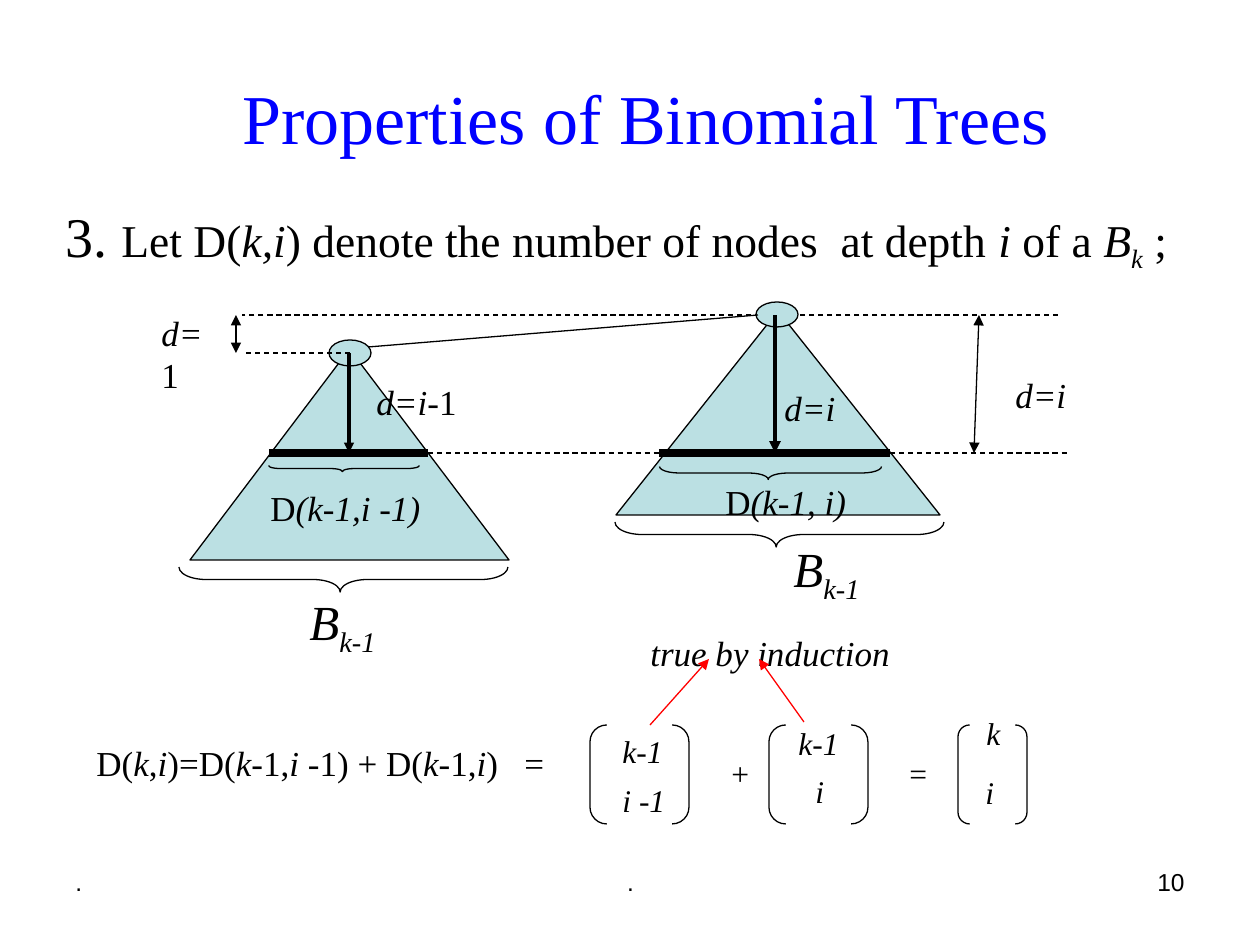
"""Build a slide on the node count by depth in binomial trees."""
from lxml.etree import SubElement
from pptx import Presentation
from pptx.dml.color import RGBColor
from pptx.enum.dml import MSO_LINE
from pptx.enum.shapes import MSO_CONNECTOR, MSO_SHAPE
from pptx.enum.text import MSO_ANCHOR, PP_ALIGN
from pptx.oxml.ns import qn
from pptx.util import Pt

PX = 914400 / 126
SERIF = "Times New Roman"
BLACK, BLUE, RED, TEAL = "000000", "0000FF", "FF0000", "BBE0E3"
LEFT, MID, RIGHT = PP_ALIGN.LEFT, PP_ALIGN.CENTER, PP_ALIGN.RIGHT
tint = RGBColor.from_string

deck = Presentation()
deck.slide_width, deck.slide_height = round(1260 * PX), round(945 * PX)
slide = deck.slides.add_slide(deck.slide_layouts[6])


def write(text, box, size, slant=False, wrap=False, align=LEFT, face=SERIF, color=BLACK):
    """Add a text box; * flips the slant and _ flips the subscript."""
    shape = slide.shapes.add_textbox(*[round(n * PX) for n in box])
    shape.text_frame.word_wrap = wrap
    para = shape.text_frame.paragraphs[0]
    para.alignment = align
    font = para.font
    font.name, font.size, font.italic = face, Pt(size), slant
    font.color.rgb = tint(color)
    for i, part in enumerate(text.split("*")):
        for j, piece in enumerate(part.split("_")):
            if not piece:
                continue
            run = para.add_run()
            run.text = piece
            if i % 2:
                run.font.italic = not slant
            if j % 2:
                run._r.get_or_add_rPr().set("baseline", "-25000")
    return shape


def draw(ends, width=0.75, color=BLACK, dash=False, tips=()):
    """Add a straight line, with arrowheads at the named tips."""
    line = slide.shapes.add_connector(MSO_CONNECTOR.STRAIGHT, *[round(n * PX) for n in ends])
    line.line.width = Pt(width)
    line.line.color.rgb = tint(color)
    if dash:
        line.line.dash_style = MSO_LINE.DASH
    for tip in tips:
        SubElement(line.line._get_or_add_ln(), qn(f"a:{tip}")).set("type", "triangle")
    SubElement(line._element.spPr, qn("a:effectLst"))


for text, x, width, align in [(".", 63, 294, LEFT), (".", 431, 399, MID), ("10", 903, 294, RIGHT)]:
    write(text, (x, 861, width, 66), 14, wrap=True, align=align, face="Arial")

title = write("Properties of Binomial Trees", (63, 38, 1165, 158), 40,
              wrap=True, align=MID, color=BLUE)
title.text_frame.vertical_anchor = MSO_ANCHOR.MIDDLE

claim = write("3. *Let D(*k,i*) denote the number of nodes  at depth *i *of a *B_k_* ;".replace("3. *", "3. **"),
              (53, 195, 1150, 84), 26, wrap=True)
first = claim.text_frame.paragraphs[0].runs[0]
first.font.size = Pt(32)

draw((1058, 315, 242, 315), dash=True)

trees = [
    ((190, 349, 319, 211), (329, 340, 42, 26)),
    ((616, 311, 324, 204), (756, 302, 42, 25)),
]
for body, root in trees:
    group = slide.shapes.add_group_shape()
    for kind, box in [(MSO_SHAPE.ISOSCELES_TRIANGLE, body), (MSO_SHAPE.OVAL, root)]:
        shape = group.shapes.add_shape(kind, *[round(n * PX) for n in box])
        shape.shadow.inherit = False
        shape.fill.solid()
        shape.fill.fore_color.rgb = tint(TEAL)
        shape.line.color.rgb = tint(BLACK)
        shape.line.width = Pt(0.75)

BRACE, PAIR = MSO_SHAPE.LEFT_BRACE, MSO_SHAPE.DOUBLE_BRACKET
marks = [
    (BRACE, (331, 415, 25, 329), (1.08, 0.49)),
    (BRACE, (767, 370, 25, 329), (1.08, 0.49)),
    (BRACE, (341, 393, 6, 151), (2, 0.49)),
    (BRACE, (764, 362, 13, 222), (1.5, 0.49)),
    (PAIR, (590, 725, 99, 99), (0.17,)),
    (PAIR, (769, 725, 99, 99), (0.17,)),
    (PAIR, (958, 725, 69, 99), (0.17,)),
]
for kind, box, bends in marks:
    shape = slide.shapes.add_shape(kind, *[round(n * PX) for n in box])
    shape.shadow.inherit = False
    shape.fill.background()
    shape.line.color.rgb = tint(BLACK)
    shape.line.width = Pt(0.75)
    shape.rotation = 270 if kind == BRACE else 0
    for i, bend in enumerate(bends):
        shape.adjustments[i] = bend

draw((368, 347, 758, 315))
for ends in [(350, 353, 243, 353), (428, 453, 659, 453), (890, 453, 1067, 453)]:
    draw(ends, dash=True)
for ends in [(269, 453, 428, 453), (659, 453, 890, 453)]:
    draw(ends, 4.5)
for ends in [(979, 315, 974, 453), (236, 315, 236, 353)]:
    draw(ends, tips=("headEnd", "tailEnd"))
draw((349, 353, 349, 453), 2.25)
draw((349, 359, 349, 453), tips=("tailEnd",))
draw((775, 315, 775, 453), 2.25, tips=("tailEnd",))

for x, y in [(297, 585), (781, 532)]:
    write("B_k-1_", (x, y, 107, 79), 28, slant=True, wrap=True)

labels = [
    ("d=*1*", 149, 305, 83), ("d=i", 1003, 367, 76),
    ("d=i-*1*", 364, 374, 105), ("d=i", 772, 380, 76),
    ("*D*(k-1,i -1)", 258, 480, 175), ("*D*(k-1, i)", 713, 474, 146),
    ("true by induction", 638, 625, 265),
    ("*D(*k*,*i*)=D(*k*-1,*i *-1) + D(*k*-1,*i*)*", 84, 735, 428), ("*=*", 512, 735, 46),
]
for text, x, y, width in labels:
    write(text, (x, y, width, 55), 20, slant=True)

terms = [
    ("k-1", 610, 726, 66), ("i -1", 610, 775, 69), ("+", 717, 748, 47),
    ("k-1", 786, 718, 66), ("i", 803, 766, 34), ("=", 895, 748, 47),
    ("k", 974, 708, 39), ("i", 973, 767, 34),
]
for text, x, y, width in terms:
    write(text, (x, y, width, 50), 18, slant=True)

for ends in [(650, 725, 709, 659), (804, 722, 759, 659)]:
    draw(ends, color=RED, tips=("tailEnd",))

deck.save("out.pptx")
